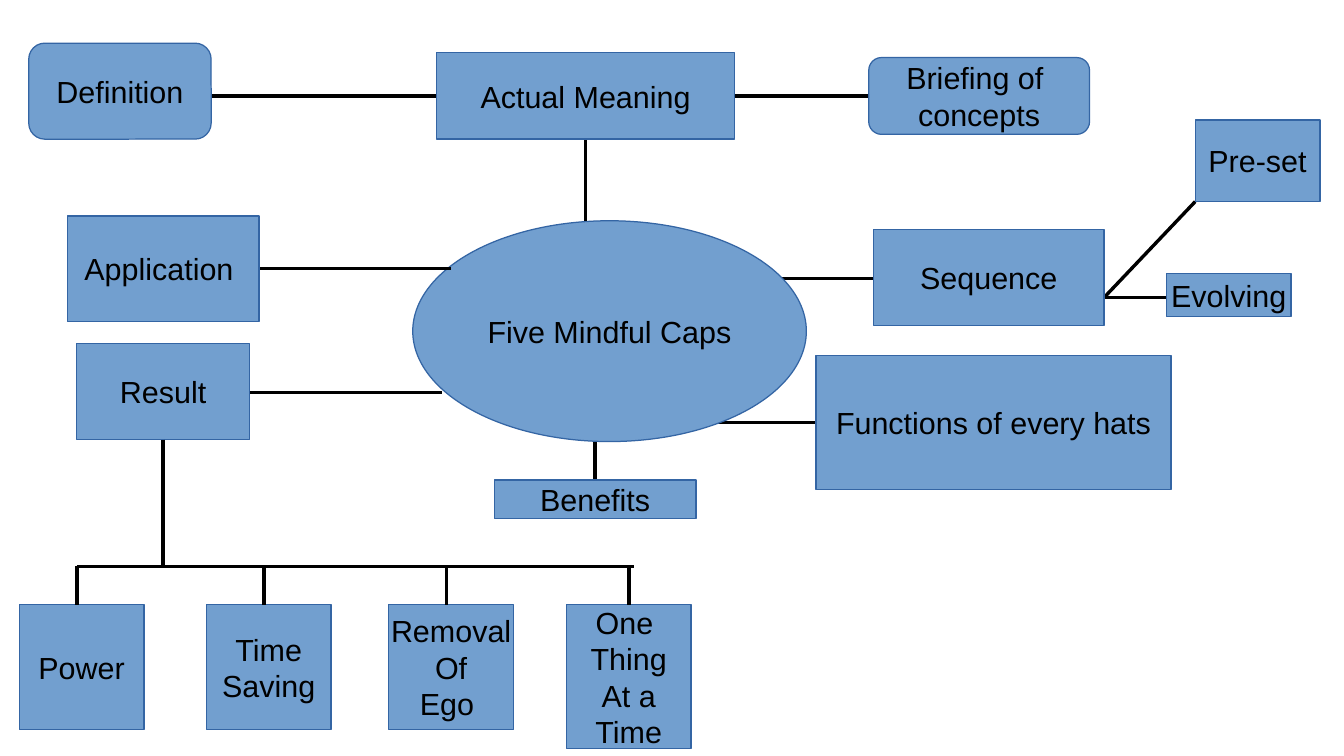
from lxml.etree import SubElement
from pptx import Presentation
from pptx.dml.color import RGBColor
from pptx.enum.shapes import MSO_CONNECTOR as Link, MSO_SHAPE as Form
from pptx.enum.text import MSO_ANCHOR as Anchor, PP_ALIGN as Align
from pptx.oxml.ns import qn
from pptx.util import Cm, Pt

COLORS = {"fill": "729FCF", "border": "3465A4", "ink": "000000"}


class MindMap:
    font = "Arial"
    size = Pt(18)
    hairline = Pt(0)

    def __init__(self, slide):
        self.shapes = slide.shapes

    def color(self, name):
        return RGBColor.from_string(COLORS[name])

    def topic(self, text, left, top, width, height, form=Form.RECTANGLE):
        topic = self.shapes.add_shape(form, Cm(left), Cm(top), Cm(width), Cm(height))
        topic.shadow.inherit = False
        topic.fill.solid()
        topic.fill.fore_color.rgb = self.color("fill")
        topic.line.color.rgb = self.color("border")
        topic.line.width = self.hairline
        frame = topic.text_frame
        frame.text = text
        frame.word_wrap = False
        frame.vertical_anchor = Anchor.MIDDLE
        for paragraph in frame.paragraphs:
            paragraph.alignment = Align.CENTER
            for run in paragraph.runs:
                run.font.name = self.font
                run.font.size = self.size
                run.font.color.rgb = self.color("ink")

    def branch(self, x1, y1, x2, y2):
        branch = self.shapes.add_connector(Link.STRAIGHT, Cm(x1), Cm(y1), Cm(x2), Cm(y2))
        branch.line.color.rgb = self.color("ink")
        branch.line.width = self.hairline
        SubElement(branch._element.spPr, qn("a:effectLst"))


def main():
    deck = Presentation()
    deck.slide_width, deck.slide_height = Cm(28), Cm(15.75)
    hats = MindMap(deck.slides.add_slide(deck.slide_layouts[6]))

    branches_behind_center = [
        (16, 5.8, 18.2, 5.8),
        (14.4, 8.8, 17, 8.8),
        (12.4, 8.8, 12.4, 10),
    ]
    for ends in branches_behind_center:
        hats.branch(*ends)
    hats.topic(" Five Mindful Caps ", 8.6, 4.6, 8.2, 4.6, Form.OVAL)

    branches = [
        (9.4, 5.6, 5.4, 5.6),
        (9.2, 8.18, 5.2, 8.18),
        (12.2, 4.6, 12.2, 2.9),
        (15.3, 2, 18.1, 2),
        (9.1, 2, 4.4, 2),
        (23, 6.2, 24.3, 6.2),
        (23, 6.2, 24.9, 4.2),
    ]
    for ends in branches:
        hats.branch(*ends)

    topics = [
        ("Actual Meaning", 9.1, 1.1, 6.2, 1.8),
        ("Application ", 1.4, 4.5, 4, 2.2),
        ("Result", 1.6, 7.16, 3.6, 2),
        ("Benefits", 10.3, 10, 4.2, 0.8),
        ("Sequence", 18.2, 4.78, 4.8, 2),
        ("Functions of every hats", 17, 7.4, 7.4, 2.8),
        ("Briefing of \nconcepts", 18.1, 1.2, 4.6, 1.6, Form.ROUNDED_RECTANGLE),
        ("Definition", 0.6, 0.9, 3.8, 2, Form.ROUNDED_RECTANGLE),
        ("Pre-set", 24.9, 2.5, 2.6, 1.7),
        ("Evolving", 24.3, 5.7, 2.6, 0.9),
    ]
    for topic in topics:
        hats.topic(*topic)

    rail_y, results_top = 11.8, 12.6
    hats.branch(3.4, 9.16, 3.4, rail_y)
    hats.branch(1.6, rail_y, 13.2, rail_y)
    results = [
        ("Power", 0.4, 2.6, 1.6),
        ("Time\nSaving", 4.3, 2.6, 5.5),
        ("Removal\nOf\nEgo ", 8.1, 2.6, 9.3),
        ("One \nThing\nAt a\nTime", 11.8, 3, 13.1),
    ]
    for text, left, height, drop_x in results:
        hats.topic(text, left, results_top, 2.6, height)
        hats.branch(drop_x, rail_y, drop_x, results_top)

    deck.save("out.pptx")


if __name__ == "__main__":
    main()
